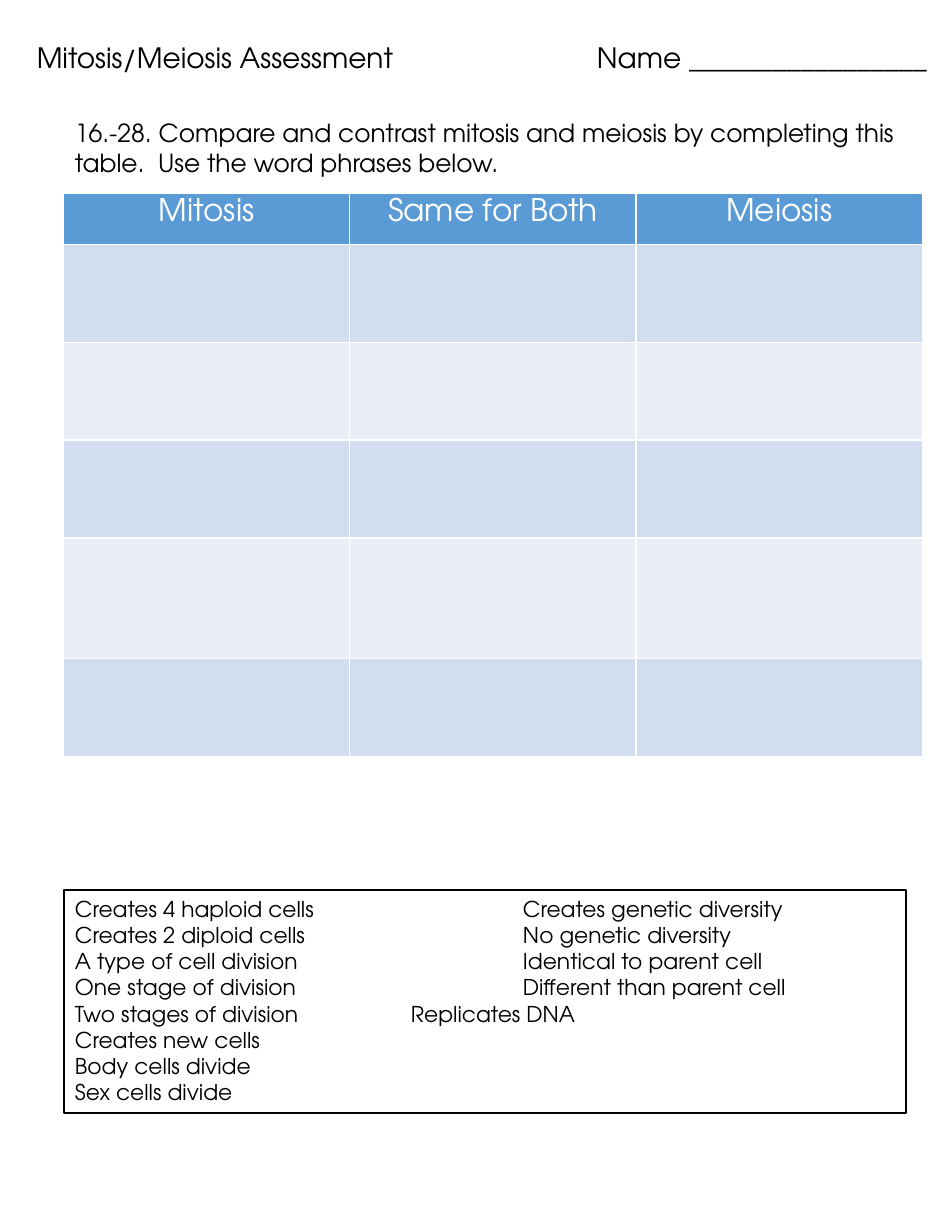
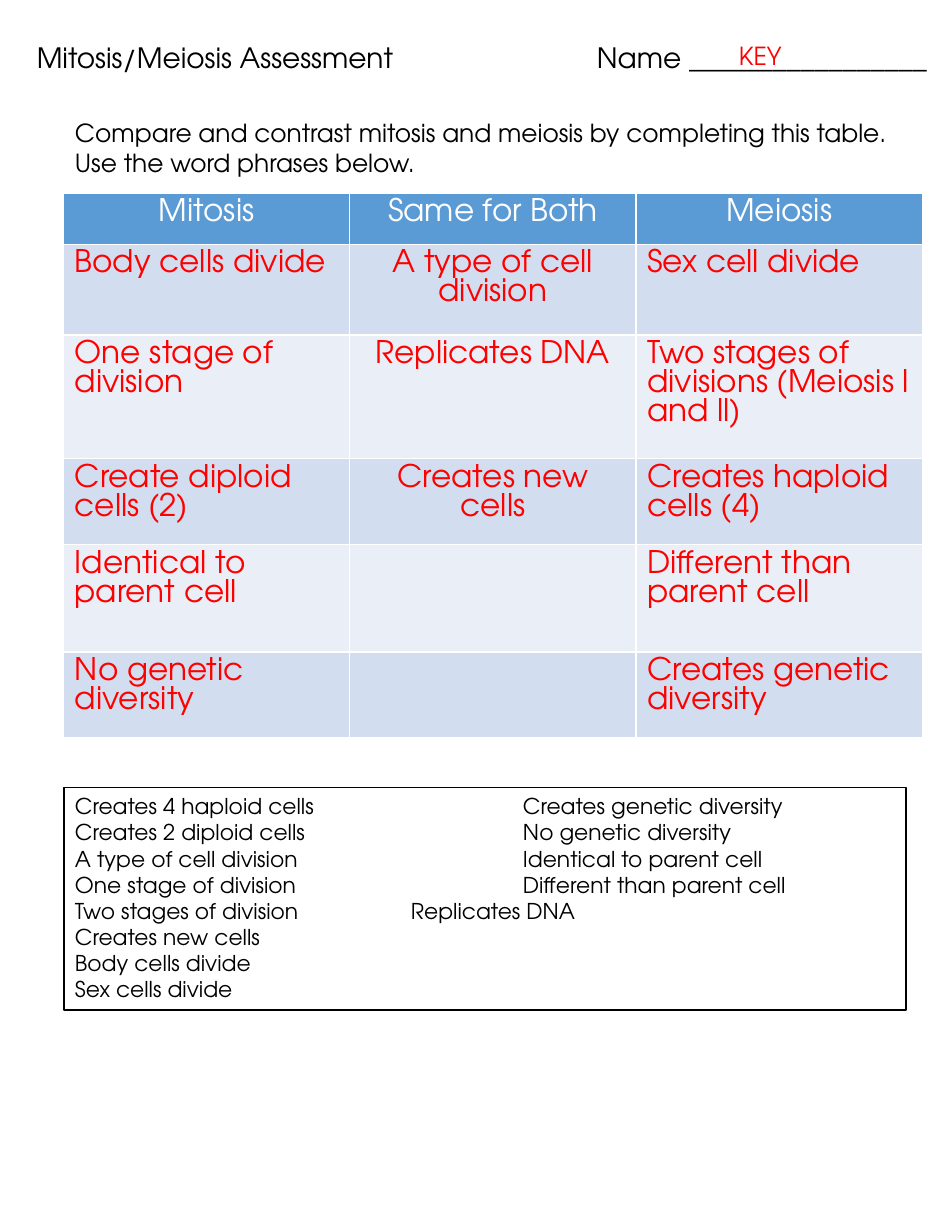
from collections import namedtuple

from lxml.etree import SubElement
from pptx import Presentation
from pptx.dml.color import RGBColor
from pptx.enum.shapes import MSO_SHAPE as Shape
from pptx.enum.text import MSO_ANCHOR as Anchor, MSO_AUTO_SIZE as AutoSize, PP_ALIGN as Align
from pptx.oxml.ns import qn
from pptx.util import Cm, Pt

Box = namedtuple("Box", "left top width height")

FONT = "TeX Gyre Adventor"
COLORS = {
    "text": "000000",
    "answer": "FF0000",
    "header": "5B9BD5",
    "header_text": "FFFFFF",
    "band_dark": "D2DEEF",
    "band_light": "EAEFF7",
}

# Shared layout, in centimetres
PAGE = Box(0, 0, 21.59, 27.94)
TITLE_BOX = Box(0.58, 0.79, 21.59, 1.02)
KEY_BOX = Box(16.51, 0.79, 2.16, 0.94)
INSTRUCTION_BOX = Box(1.45, 2.54, 19.48, 1.63)
TABLE_LEFT, TABLE_TOP, TABLE_WIDTH = 1.44, 4.38, 19.48
HEADER_HEIGHT = 1.16
NAME_TAB = 12.7
FAR_TAB, NEAR_TAB = 10.16, 7.62

TITLE = "Mitosis/Meiosis Assessment\tName _________________"
INSTRUCTION = ("Compare and contrast mitosis and meiosis by completing this table.  "
               "Use the word phrases below.")
COLUMNS = ["Mitosis", "Same for Both", "Meiosis"]
ANSWERS = [
    ["Body cells divide", "A type of cell division", "Sex cell divide"],
    ["One stage of division", "Replicates DNA", "Two stages of divisions (Meiosis l and ll)"],
    ["Create diploid cells (2)", "Creates new cells", "Creates haploid cells (4)"],
    ["Identical to parent cell", "", "Different than parent cell"],
    ["No genetic diversity", "", "Creates genetic diversity"],
]
# Left phrase, right phrase, tab stop between them
PHRASES = [
    ("Creates 4 haploid cells", "Creates genetic diversity", FAR_TAB),
    ("Creates 2 diploid cells", "No genetic diversity", FAR_TAB),
    ("A type of cell division", "Identical to parent cell", FAR_TAB),
    ("One stage of division", "Different than parent cell", FAR_TAB),
    ("Two stages of division", "Replicates DNA", NEAR_TAB),
    ("Creates new cells", "", None),
    ("Body cells divide", "", None),
    ("Sex cells divide", "", None),
]


def color(name):
    return RGBColor.from_string(COLORS[name])


def prepare_frame(shape):
    frame = shape.text_frame
    frame.word_wrap = True
    frame.auto_size = AutoSize.NONE
    frame.vertical_anchor = Anchor.TOP
    return frame


def write(paragraph, text, size, color_name="text", align=Align.LEFT, tab=None):
    paragraph.alignment = align
    if tab:
        tabs = SubElement(paragraph._p.get_or_add_pPr(), qn("a:tabLst"))
        SubElement(tabs, qn("a:tab"), pos=str(Cm(tab)), algn="l")
    run = paragraph.add_run()
    run.text = text
    run.font.name = FONT
    run.font.size = Pt(size)
    run.font.color.rgb = color(color_name)


def add_title(slide, box):
    title = slide.shapes.title
    title.left, title.top, title.width, title.height = map(Cm, box)
    write(prepare_frame(title).paragraphs[0], TITLE, 18, tab=NAME_TAB)


def add_text(slide, box, text, color_name="text"):
    text_box = slide.shapes.add_textbox(*map(Cm, box))
    write(prepare_frame(text_box).paragraphs[0], text, 16, color_name)


def add_comparison_table(slide, row_heights, answers):
    heights = [HEADER_HEIGHT] + row_heights
    box = Box(TABLE_LEFT, TABLE_TOP, TABLE_WIDTH, sum(heights))
    table = slide.shapes.add_table(len(heights), len(COLUMNS), *map(Cm, box)).table
    for column in table.columns:
        column.width = Cm(box.width / len(COLUMNS))

    for row_index, height in enumerate(heights):
        table.rows[row_index].height = Cm(height)
        is_header = row_index == 0
        band = "header" if is_header else "band_dark" if row_index % 2 else "band_light"
        texts = COLUMNS if is_header else answers[row_index - 1] if answers else [""] * len(COLUMNS)
        for column_index, text in enumerate(texts):
            cell = table.cell(row_index, column_index)
            cell.fill.solid()
            cell.fill.fore_color.rgb = color(band)
            if text:
                centered = is_header or column_index == 1
                write(cell.text_frame.paragraphs[0], text, 20,
                      "header_text" if is_header else "answer",
                      Align.CENTER if centered else Align.LEFT)


def add_word_bank(slide, box):
    bank = slide.shapes.add_shape(Shape.RECTANGLE, *map(Cm, box))
    bank.shadow.inherit = False
    bank.fill.background()
    bank.line.color.rgb = color("text")
    bank.line.width = Pt(1)
    frame = prepare_frame(bank)
    for index, (left, right, tab) in enumerate(PHRASES):
        paragraph = frame.add_paragraph() if index else frame.paragraphs[0]
        write(paragraph, f"{left}\t{right}" if right else left, 14, tab=tab)


def add_worksheet(presentation, instruction, row_heights, bank_top, answers=None):
    slide = presentation.slides.add_slide(presentation.slide_layouts[5])
    add_comparison_table(slide, row_heights, answers)
    add_title(slide, TITLE_BOX)
    add_text(slide, INSTRUCTION_BOX, instruction)
    add_word_bank(slide, Box(1.45, bank_top, 19.1, 5.05))
    if answers:
        add_text(slide, KEY_BOX, "KEY", "answer")


def main():
    presentation = Presentation()
    presentation.slide_width, presentation.slide_height = Cm(PAGE.width), Cm(PAGE.height)

    # Blank worksheet, then its answer key
    add_worksheet(presentation, "16.-28. " + INSTRUCTION,
                  [2.22, 2.22, 2.22, 2.74, 2.22], 20.19)
    add_worksheet(presentation, INSTRUCTION,
                  [2.06, 2.8, 1.95, 2.44, 1.95], 17.86, ANSWERS)
    presentation.save("out.pptx")


if __name__ == "__main__":
    main()
